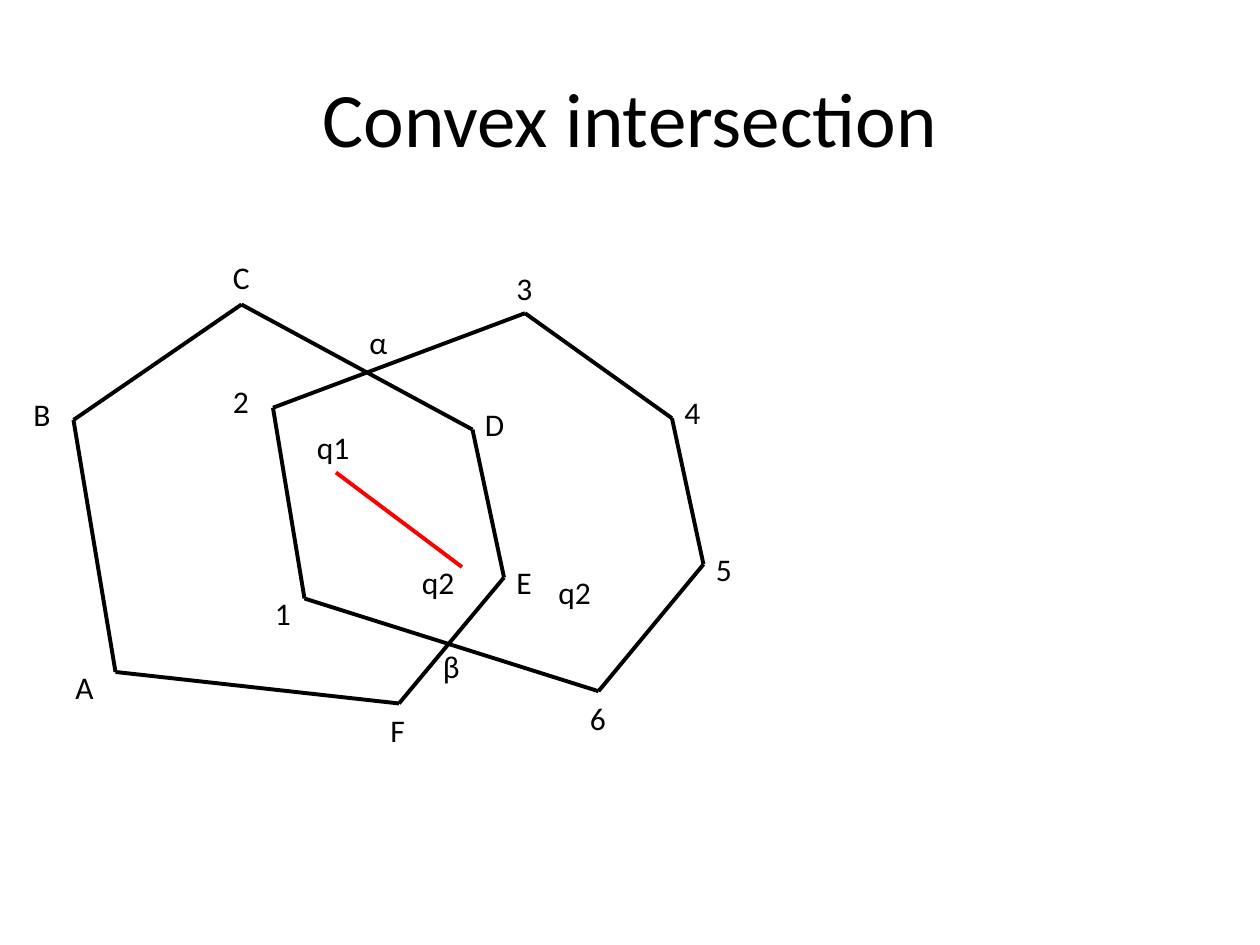
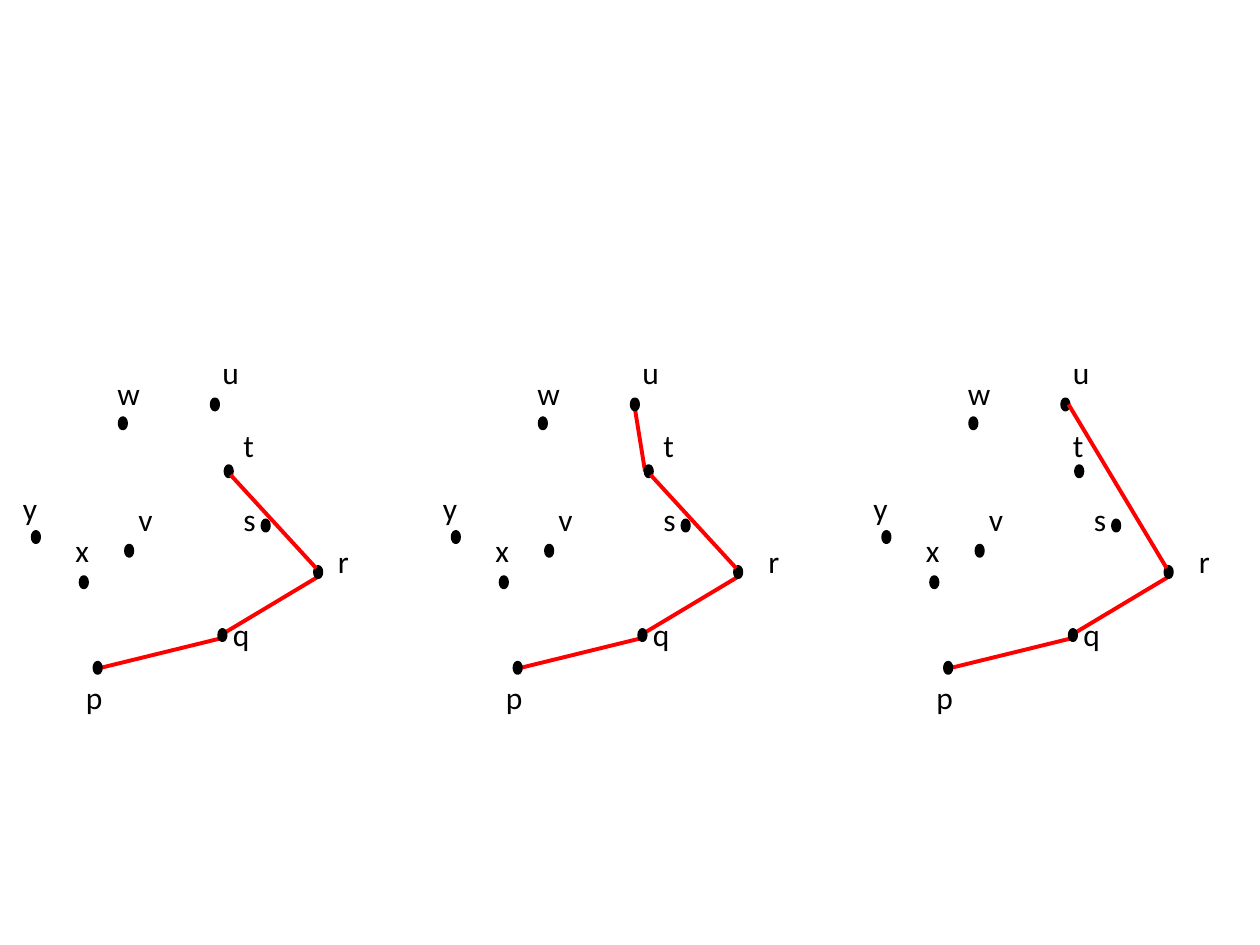
import pptx
import pptx.dml.color
import pptx.enum.shapes
import pptx.enum.text
import pptx.util
from pptx.oxml.ns import qn
from lxml import etree

Pt = pptx.util.Pt
FONT = "Calibri"
BLACK = "000000"
RED = "FF0000"
WEIGHT = 2.25
DOT_W, DOT_H = 3.6, 5.8
LABEL_W, LABEL_H = 36, 29

LEFT_HEX = [(66, 384), (42, 240), (138, 174), (270, 245.5), (288, 330), (228, 402)]
RIGHT_HEX = [(174, 342), (156, 233), (300, 179), (384, 239), (402, 322.5), (342, 395)]
HEX_TAGS = [
    ("A", 36, 378), ("B", 12, 222), ("C", 126, 144),
    ("D", 270, 228), ("E", 288, 318), ("F", 216, 403),
    ("1", 150, 336), ("2", 126, 215), ("3", 288, 150),
    ("4", 384, 221), ("5", 402, 311), ("6", 330, 396),
    ("q1", 174, 241), ("q2", 234, 318), ("q2", 312, 324),
    ("α", 204, 181), ("β", 246, 366),
]

DOTS = {
    "p": (54, 378.7), "q": (125.3, 360), "r": (180, 324), "s": (150, 297.4),
    "t": (128.9, 266.4), "u": (121, 228.2), "v": (72, 311.8),
    "w": (68.4, 239), "x": (46.1, 329.8), "y": (18.7, 304),
}
DOT_TAGS = {
    "p": (42, 384), "q": (126, 348), "r": (186, 306), "s": (132, 282),
    "t": (132, 240), "u": (120, 198), "v": (72, 282),
    "w": (60, 210), "x": (36, 300), "y": (6, 276),
}
PQ = ((57.6, 381.6), (125.3, 365))
QR = ((126, 363), (181.4, 329.8))
RT = ((180.7, 324.7), (131.8, 271.4))
TU = ((128.6, 269.3), (122.9, 234))
RU = ((180.7, 324.7), (124.6, 231.1))

PANELS = [
    (0, [PQ, QR], [RT], {}),
    (240, [TU, PQ, QR], [RT], {"r": 6}),
    (486, [PQ, QR], [RU], {"r": 6, "t": -12}),
]


def paint(code):
    return pptx.dml.color.RGBColor.from_string(code)


def add_text(slide, text, left, top, width=LABEL_W, height=LABEL_H, size=18):
    box = slide.shapes.add_textbox(Pt(left), Pt(top), Pt(width), Pt(height))
    frame = box.text_frame
    frame.word_wrap = True
    frame.text = text
    font = frame.paragraphs[0].runs[0].font
    font.name = FONT
    font.size = Pt(size)
    font.color.rgb = paint(BLACK)
    return frame


def add_title(slide, text):
    frame = add_text(slide, text, 36, 21.6, 648, 90, 44)
    frame.vertical_anchor = pptx.enum.text.MSO_ANCHOR.MIDDLE
    frame.paragraphs[0].alignment = pptx.enum.text.PP_ALIGN.CENTER


def add_line(slide, start, end, color=BLACK, shift=0):
    kind = pptx.enum.shapes.MSO_CONNECTOR.STRAIGHT
    line = slide.shapes.add_connector(
        kind, Pt(start[0] + shift), Pt(start[1]), Pt(end[0] + shift), Pt(end[1]))
    line.line.color.rgb = paint(color)
    line.line.width = Pt(WEIGHT)
    etree.SubElement(line._element.spPr, qn("a:effectLst"))


def add_ring(slide, points):
    for start, end in zip(points, points[1:] + points[:1]):
        add_line(slide, start, end)


def add_dot(slide, left, top):
    dot = slide.shapes.add_shape(
        pptx.enum.shapes.MSO_SHAPE.OVAL, Pt(left), Pt(top), Pt(DOT_W), Pt(DOT_H))
    dot.shadow.inherit = False
    dot.fill.solid()
    dot.fill.fore_color.rgb = paint(BLACK)
    dot.line.color.rgb = paint(BLACK)
    dot.line.width = Pt(WEIGHT)


def add_panel(slide, shift, under, over, nudge):
    for start, end in under:
        add_line(slide, start, end, RED, shift)
    for left, top in DOTS.values():
        add_dot(slide, left + shift, top)
    for start, end in over:
        add_line(slide, start, end, RED, shift)
    for name, (left, top) in DOT_TAGS.items():
        add_text(slide, name, left + shift + nudge.get(name, 0), top)


def main():
    deck = pptx.Presentation()
    deck.slide_width, deck.slide_height = Pt(720), Pt(540)
    blank = deck.slide_layouts[6]

    slide = deck.slides.add_slide(blank)
    add_title(slide, "Convex intersection")
    add_ring(slide, LEFT_HEX)
    add_ring(slide, RIGHT_HEX)
    add_line(slide, (192, 270), (264, 324), RED)
    for tag in HEX_TAGS:
        add_text(slide, *tag)

    slide = deck.slides.add_slide(blank)
    for panel in PANELS:
        add_panel(slide, *panel)

    deck.save("out.pptx")


if __name__ == "__main__":
    main()
